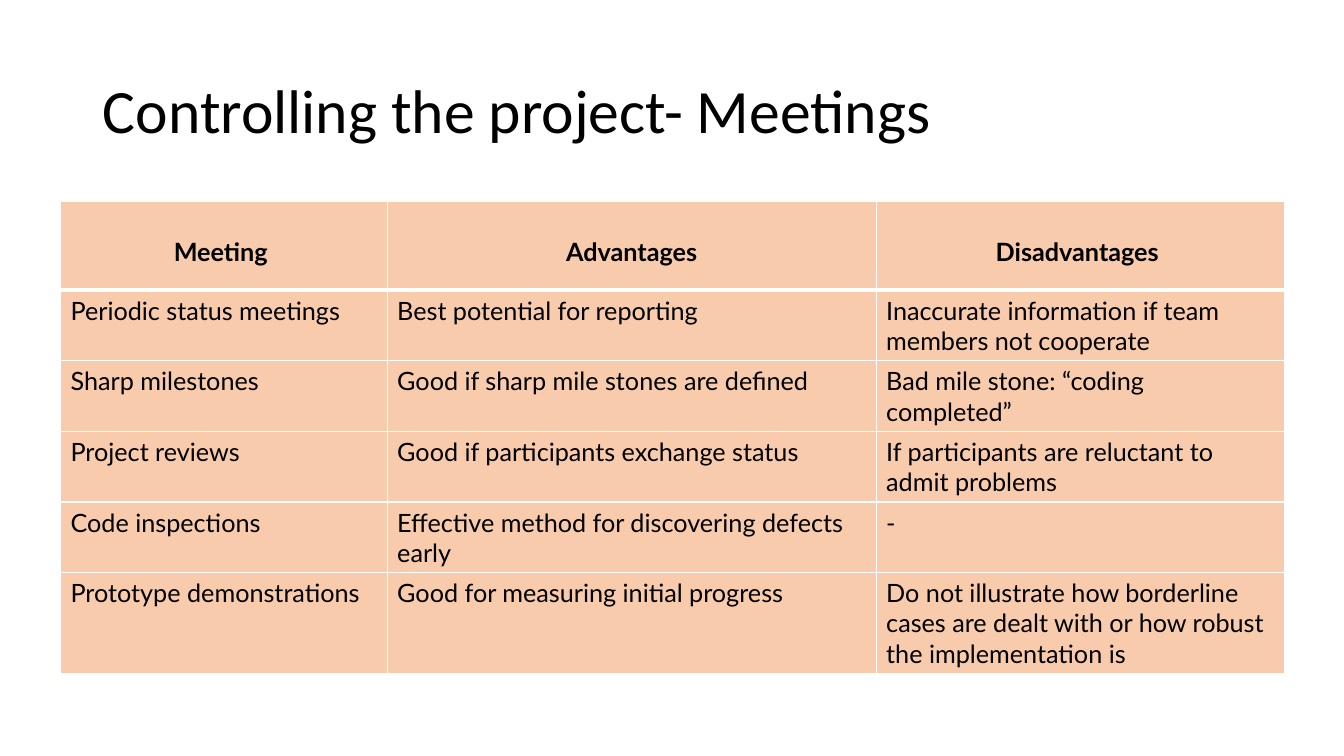
from lxml import etree
from pptx import Presentation
from pptx.dml.color import RGBColor
from pptx.enum import text
from pptx.oxml.ns import qn
from pptx.util import Inches, Pt

BLACK, WHITE, PEACH = "000000", "FFFFFF", "F8CBAD"
COLUMN_WIDTHS = (3.24, 4.85, 4.05)
ROW_HEIGHTS = (0.88, 0.7, 0.7, 0.7, 0.7, 1)
MEETINGS = (
    ("Meeting ", "Advantages", "Disadvantages "),
    ("Periodic status meetings", "Best potential for reporting",
     "Inaccurate information if team members not cooperate"),
    ("Sharp milestones", "Good if sharp mile stones are defined",
     "Bad mile stone: “coding completed”"),
    ("Project reviews", "Good if participants exchange status",
     "If participants are reluctant to admit problems"),
    ("Code inspections", "Effective method for discovering defects early", "-"),
    ("Prototype demonstrations", "Good for measuring initial progress",
     "Do not illustrate how borderline cases are dealt with or how robust "
     "the implementation is"),
)


def color(value):
    return RGBColor.from_string(value)


def add_run(paragraph, words, font, size, bold=False):
    run = paragraph.add_run()
    run.text = words
    run.font.name = font
    run.font.size = Pt(size)
    run.font.bold = bold
    run.font.color.rgb = color(BLACK)


def set_title(slide, words):
    title = slide.shapes.title
    title.left, title.top = Inches(0.92), Inches(0.4)
    title.width, title.height = Inches(11.5), Inches(1.45)
    title.text_frame.word_wrap = True
    title.text_frame.vertical_anchor = text.MSO_ANCHOR.MIDDLE
    paragraph = title.text_frame.paragraphs[0]
    paragraph.alignment = text.PP_ALIGN.LEFT
    paragraph.line_spacing = 0.9
    add_run(paragraph, words, "Calibri", 44)


def set_borders(cell, top, bottom):
    """Draw white cell borders; top and bottom are widths in points."""
    properties = cell._tc.get_or_add_tcPr()
    widths = (("a:lnL", 1), ("a:lnR", 1), ("a:lnT", top), ("a:lnB", bottom))
    for position, (tag, width) in enumerate(widths):
        line = etree.Element(qn(tag), w=str(Pt(width)))
        fill = etree.SubElement(line, qn("a:solidFill"))
        etree.SubElement(fill, qn("a:srgbClr"), val=WHITE)
        properties.insert(position, line)


def fill_cell(cell, words, row):
    header = row == 0
    cell.fill.solid()
    cell.fill.fore_color.rgb = color(PEACH)
    set_borders(cell, 3 if row == 1 else 1, 3 if header else 1)
    paragraph = cell.text_frame.paragraphs[0]
    if header:
        paragraph.alignment = text.PP_ALIGN.CENTER
        paragraph.line_spacing = 2.0
    add_run(paragraph, words, "Lato", 18, header)


def add_meeting_table(slide):
    table = slide.shapes.add_table(
        len(MEETINGS), len(COLUMN_WIDTHS), Inches(0.6), Inches(2),
        Inches(sum(COLUMN_WIDTHS)), Inches(sum(ROW_HEIGHTS))).table
    for column, width in zip(table.columns, COLUMN_WIDTHS):
        column.width = Inches(width)
    for row, (height, entries) in enumerate(zip(ROW_HEIGHTS, MEETINGS)):
        table.rows[row].height = Inches(height)
        for column, words in enumerate(entries):
            fill_cell(table.cell(row, column), words, row)


def main():
    presentation = Presentation()
    presentation.slide_width = Inches(13.33)
    presentation.slide_height = Inches(7.5)
    slide = presentation.slides.add_slide(
        presentation.slide_layouts.get_by_name("Title Only"))
    set_title(slide, "Controlling the project- Meetings")
    add_meeting_table(slide)
    presentation.save("out.pptx")


if __name__ == "__main__":
    main()
